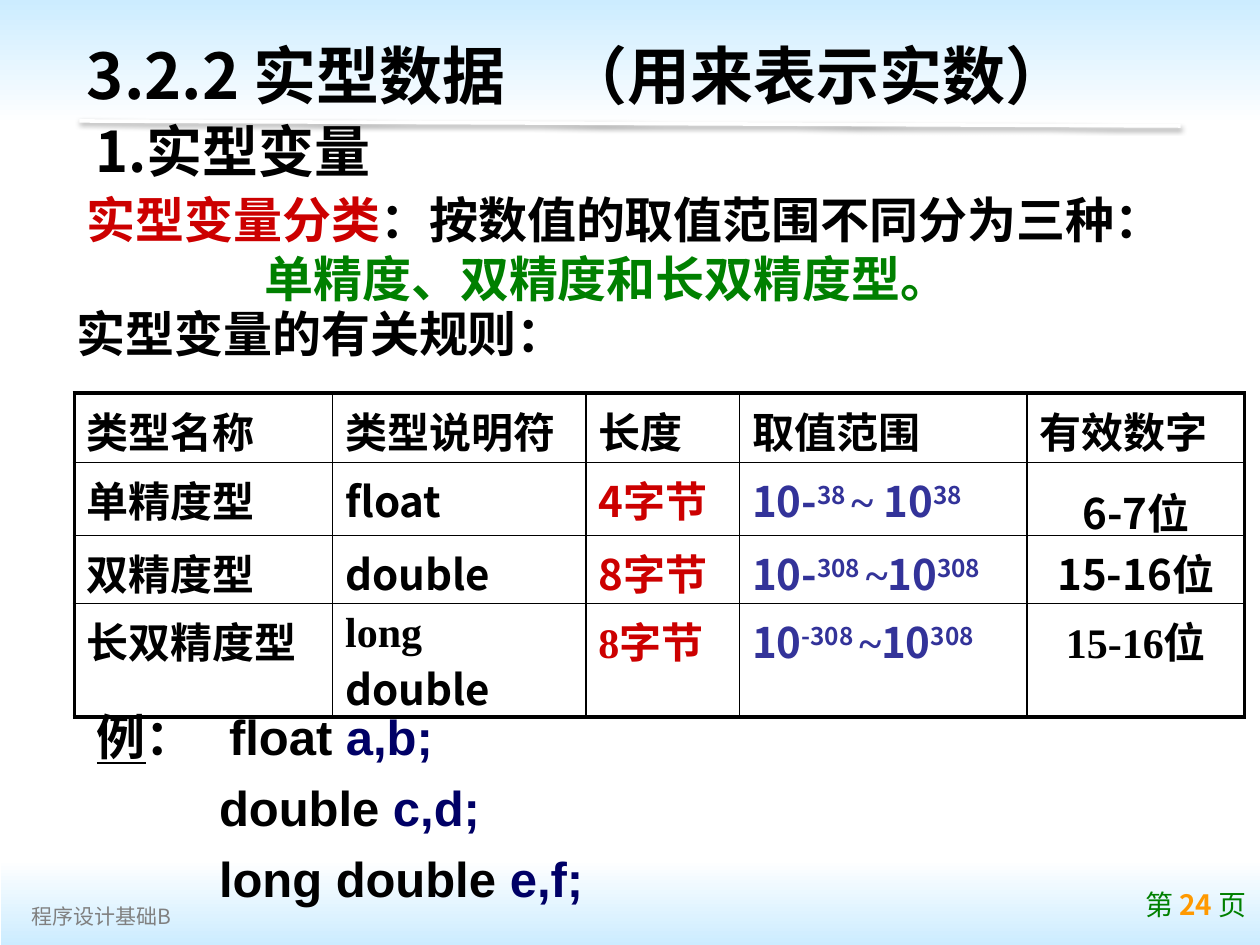
from typing import NamedTuple

from lxml import etree
from pptx import Presentation
from pptx import util as u
from pptx.dml.color import RGBColor
from pptx.enum import shapes, text
from pptx.oxml.ns import qn

NOTO, TIMES, ARIAL = "Noto Sans CJK SC", "Times New Roman", "Arial"
BLACK, RED, GREEN, BLUE, NAVY = "000000", "CC0000", "008000", "333399", "000066"
SKY, WHITE = "CCECFF", "FFFFFF"
LEFT, MID, RIGHT = text.PP_ALIGN.LEFT, text.PP_ALIGN.CENTER, text.PP_ALIGN.RIGHT


class Run(NamedTuple):
    """A piece of text; None keeps the look of its paragraph."""
    words: str
    hue: str | None = None
    face: str | None = None
    raised: bool = False
    under: bool = False
    bold: bool | None = None


class Para(NamedTuple):
    runs: list[Run]
    size: float
    face: str = NOTO
    hue: str = BLACK
    bold: bool = True
    align: text.PP_ALIGN = LEFT
    indent: float = 0
    tab: float = 0
    before: float = 0
    lead: float | None = None


class Box(NamedTuple):
    left: float
    top: float
    width: float
    height: float
    paras: list[Para]
    anchor: text.MSO_ANCHOR = text.MSO_ANCHOR.MIDDLE


def color(hue: str) -> RGBColor:
    return RGBColor.from_string(hue)


def add(parent, tag: str, **attrs):
    """Append a DrawingML element."""
    return etree.SubElement(parent, qn(f"a:{tag}"), {k: str(v) for k, v in attrs.items()})


def place(shape, left: float, top: float, width: float, height: float) -> None:
    shape.left, shape.top = u.Inches(left), u.Inches(top)
    shape.width, shape.height = u.Inches(width), u.Inches(height)


def write(frame, paras: list[Para]) -> None:
    for i, item in enumerate(paras):
        par = frame.paragraphs[0] if i == 0 else frame.add_paragraph()
        par.alignment = item.align
        if i:
            par.space_before = u.Pt(item.before)
        if item.lead:
            par.line_spacing = item.lead
        props = par._p.get_or_add_pPr()
        if item.indent:
            props.set("marL", str(u.Inches(item.indent)))
        if item.tab:
            add(add(props, "tabLst"), "tab", pos=u.Inches(item.tab), algn="l")
        font = par.font
        font.size, font.bold, font.name = u.Pt(item.size), item.bold, item.face
        font.color.rgb = color(item.hue)
        add(props.find(qn("a:defRPr")), "ea", typeface=NOTO)
        for bit in item.runs:
            run = par.add_run()
            run.text = bit.words
            if bit.hue:
                run.font.color.rgb = color(bit.hue)
            if bit.face:
                run.font.name = bit.face
            if bit.under:
                run.font.underline = True
            if bit.bold is not None:
                run.font.bold = bit.bold
            if bit.raised:
                run._r.get_or_add_rPr().set("baseline", "30000")


def draw_box(slide, box: Box) -> None:
    shape = slide.shapes.add_textbox(0, 0, 0, 0)
    place(shape, *box[:4])
    shape.text_frame.word_wrap = True
    shape.text_frame.vertical_anchor = box.anchor
    write(shape.text_frame, box.paras)


def draw_band(slide, left: float, top: float, height: float, hues: tuple[str, str]) -> None:
    band = slide.shapes.add_shape(shapes.MSO_SHAPE.RECTANGLE, 0, 0, 0, 0)
    place(band, left, top, 10, height)
    band.shadow.inherit = False
    band.line.fill.background()
    band.fill.gradient()
    band.fill.gradient_angle = 270
    for stop, hue, pos in zip(band.fill.gradient_stops, hues, (0, 1)):
        stop.color.rgb, stop.position = color(hue), pos


def draw_rule(slide) -> None:
    ends = [u.Inches(n) for n in (0.63, 0.96, 9.37, 1)]
    rule = slide.shapes.add_connector(shapes.MSO_CONNECTOR.STRAIGHT, *ends)
    rule.line.color.rgb, rule.line.width = color(WHITE), u.Pt(2)
    glow = add(add(rule._element.spPr, "effectLst"), "outerShdw", blurRad=u.Pt(3.1),
               dist=u.Pt(1.6), dir=5400000, algn="t", rotWithShape=0)
    add(add(glow, "srgbClr", val=BLACK), "alpha", val=38000)


def draw_edge(cell, side: str, width: float) -> None:
    line = add(cell._tc.get_or_add_tcPr(), f"ln{side}", w=u.Pt(width))
    add(add(line, "solidFill"), "srgbClr", val=BLACK)


def draw_table(slide, rows: list[list[Para]], widths: list[float], heights: list[float]) -> None:
    frame = slide.shapes.add_table(len(rows), len(widths), u.Inches(0.59), u.Inches(3.12),
                                   u.Inches(sum(widths)), u.Inches(sum(heights)))
    table = frame.table
    table.first_row = table.horz_banding = False
    for col, width in zip(table.columns, widths):
        col.width = u.Inches(width)
    for row, height in zip(table.rows, heights):
        row.height = u.Inches(height)
    for r, row in enumerate(rows):
        for c, para in enumerate(row):
            cell = table.cell(r, c)
            outer = {"L": c == 0, "R": c == len(widths) - 1,
                     "T": r == 0, "B": r == len(rows) - 1}
            for side, edge in outer.items():
                draw_edge(cell, side, 2.25 if edge else 1)
            cell.fill.background()
            write(cell.text_frame, [para])


def entry(words: str, **look) -> Para:
    return Para([Run(words)], 24, **look)


def span(low: str, power: str, gap: str = "") -> Para:
    """Value range from a negative to a positive power of ten."""
    start = [Run(low), Run(power + " ", raised=True)]
    return Para(start + [Run("~" + gap, face=TIMES), Run("10"),
                         Run(power.lstrip("-"), raised=True)], 24, hue=BLUE)


def code(kind: str, names: str) -> Para:
    return Para([Run(kind + " "), Run(names, NAVY)], 28, ARIAL, indent=0.97, before=7)


TITLE = Para([Run("3.2.2 实型数据\t（用来表示实数）")], 36, tab=3.79)
BOXES = [
    Box(0.15, 7.15, 1.63, 0.24, [Para([Run("程序设计基础B")], 12, hue="808080", bold=False)]),
    Box(7.2, 6.98, 2.79, 0.39, [Para([Run("第 "), Run("24 ", "FF9900", bold=True), Run("页")],
                                     16, hue=GREEN, bold=False, align=RIGHT)]),
    Box(0.51, 0.88, 2.68, 0.63, [Para([Run("1.实型变量")], 32, align=MID)]),
    Box(0.59, 1.46, 9.61, 1.03, [
        Para([Run("实型变量分类", RED), Run("：按数值的取值范围不同分为三种：")], 28),
        Para([Run("单精度、双精度和长双精度型。")], 28, hue=GREEN, indent=1.41)]),
    Box(0.51, 2.36, 9.13, 0.57, [Para([Run("实型变量的有关规则：")], 28, ARIAL)]),
    Box(0.67, 5.56, 8.9, 1.69, [
        Para([Run("例", under=True), Run("：\tfloat "), Run("a,b;", NAVY)], 28, ARIAL, tab=1.05),
        code("double", "c,d;"), code("long double", "e,f;")], text.MSO_ANCHOR.TOP),
]
ROWS = [
    [entry(t) for t in ("类型名称", "类型说明符", "长度", "取值范围", "有效数字")],
    [entry("单精度型"), entry("float"), entry("4字节", hue=RED),
     span("10-", "38", " "), entry("6-7位", align=MID, lead=1.2)],
    [entry("双精度型"), entry("double"), entry("8字节", hue=RED),
     span("10-", "308"), entry("15-16位", align=MID)],
    [entry("长双精度型"), Para([Run("long ", face=TIMES), Run("double")], 24),
     entry("8字节", face=TIMES, hue=RED), span("10", "-308"),
     entry("15-16位", face=TIMES, align=MID)],
]


def main() -> None:
    deck = Presentation()
    deck.slide_width, deck.slide_height = u.Inches(10), u.Inches(7.5)
    slide = deck.slides.add_slide(deck.slide_layouts[5])

    # Backdrop
    draw_band(slide, 0, 0, 0.99, (SKY, WHITE))
    draw_band(slide, 0.01, 6.82, 0.68, (WHITE, SKY))
    draw_rule(slide)

    # Title, brought in front of the backdrop
    title = slide.shapes.title
    slide.shapes._spTree.append(title._element)
    place(title, 0.59, 0.25, 8.82, 0.68)
    title.text_frame.vertical_anchor = text.MSO_ANCHOR.MIDDLE
    write(title.text_frame, [TITLE])

    # Text and table
    for box in BOXES:
        draw_box(slide, box)
    draw_table(slide, ROWS, [2.05, 2.01, 1.22, 2.28, 1.73], [0.55, 0.58, 0.54, 0.62])
    deck.save("out.pptx")


if __name__ == "__main__":
    main()
